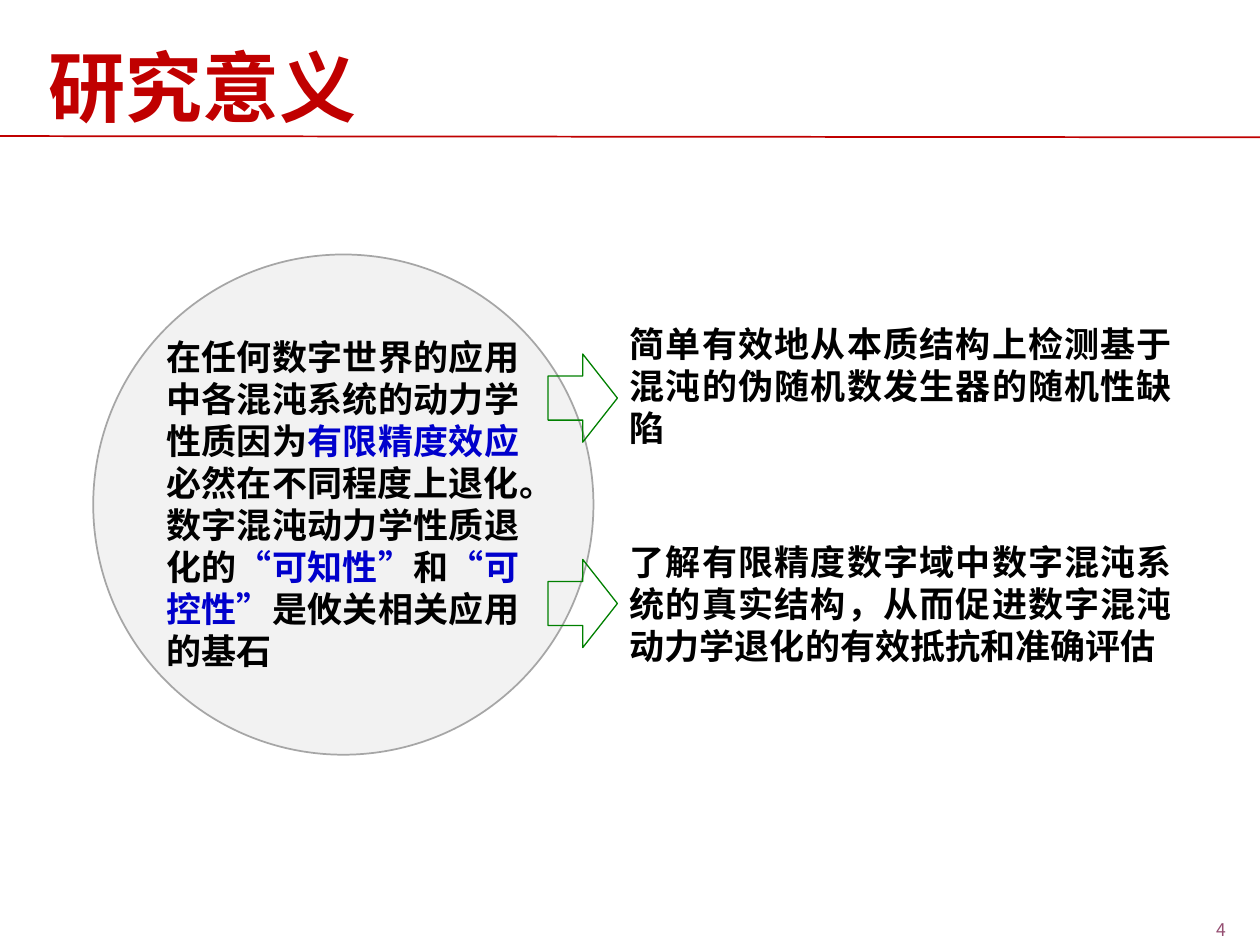
from lxml.etree import SubElement
from pptx import Presentation
from pptx.dml.color import RGBColor
from pptx.enum.lang import MSO_LANGUAGE_ID
from pptx.enum.shapes import MSO_CONNECTOR, MSO_SHAPE
from pptx.enum.text import MSO_ANCHOR, PP_ALIGN
from pptx.oxml.ns import qn
from pptx.util import Inches, Pt

RED = RGBColor(0xC0, 0x00, 0x00)
BLACK = RGBColor(0x00, 0x00, 0x00)
BLUE = RGBColor(0x00, 0x00, 0xCC)
GREEN = RGBColor(0x00, 0x80, 0x00)
PLUM = RGBColor(0x95, 0x4F, 0x72)
PALE_GRAY = RGBColor(0xF2, 0xF2, 0xF2)
MID_GRAY = RGBColor(0xA6, 0xA6, 0xA6)
FONT = "Noto Sans CJK SC"
COLUMNS, ROWS = 100, 75


class SlideBuilder:
    """Draws styled elements on a slide, placed in columns and rows of a grid."""

    def __init__(self, presentation):
        self.column = presentation.slide_width / COLUMNS
        self.row = presentation.slide_height / ROWS
        self.slide = presentation.slides.add_slide(presentation.slide_layouts[5])

    def place(self, left, top, width, height):
        return (round(left * self.column), round(top * self.row),
                round(width * self.column), round(height * self.row))

    def format_run(self, run, size, color, bold=True):
        font = run.font
        font.name, font.size, font.bold = FONT, Pt(size), bold
        font.color.rgb = color
        font.language_id = MSO_LANGUAGE_ID.SIMPLIFIED_CHINESE
        SubElement(font._element, qn("a:ea")).set("typeface", FONT)

    def title(self, text, *box):
        title = self.slide.shapes.title
        title.left, title.top, title.width, title.height = self.place(*box)
        title.text_frame.text = text
        title.text_frame.vertical_anchor = MSO_ANCHOR.MIDDLE
        paragraph = title.text_frame.paragraphs[0]
        paragraph.alignment = PP_ALIGN.CENTER
        self.format_run(paragraph.runs[0], 44, RED)

    def text(self, parts, *box):
        text_box = self.slide.shapes.add_textbox(*self.place(*box))
        text_box.text_frame.word_wrap = True
        paragraph = text_box.text_frame.paragraphs[0]
        paragraph.alignment = PP_ALIGN.JUSTIFY
        paragraph.line_spacing = Pt(24)
        for text, color in parts:
            run = paragraph.add_run()
            run.text = text
            self.format_run(run, 20, color)

    def page_number(self, number, *box):
        text_box = self.slide.shapes.add_textbox(*self.place(*box))
        text_box.text_frame.text = number
        text_box.text_frame.vertical_anchor = MSO_ANCHOR.MIDDLE
        paragraph = text_box.text_frame.paragraphs[0]
        paragraph.alignment = PP_ALIGN.RIGHT
        self.format_run(paragraph.runs[0], 10, PLUM, bold=False)

    def shape(self, kind, line_color, line_width, *box, fill=None):
        shape = self.slide.shapes.add_shape(kind, *self.place(*box))
        shape.shadow.inherit = False
        if fill is None:
            shape.fill.background()
        else:
            shape.fill.solid()
            shape.fill.fore_color.rgb = fill
        shape.line.color.rgb = line_color
        shape.line.width = Pt(line_width)

    def rule(self, left, top, right, bottom):
        ends = self.place(left, top, right, bottom)
        line = self.slide.shapes.add_connector(MSO_CONNECTOR.STRAIGHT, *ends)
        line.line.color.rgb = RED
        line.line.width = Pt(1)
        SubElement(line._element.spPr, qn("a:effectLst"))


def main():
    presentation = Presentation()
    presentation.slide_width, presentation.slide_height = Inches(10), Inches(7.5)
    builder = SlideBuilder(presentation)
    builder.title("研究意义", 0.3, 1.8, 31.6, 10)
    builder.shape(MSO_SHAPE.OVAL, MID_GRAY, 1, 7.4, 20.2, 39.7, 39.7, fill=PALE_GRAY)
    builder.text([
        ("在任何数字世界的应用中各混沌系统的动力学性质因为", BLACK),
        ("有限精度效应", BLUE),
        ("必然在不同程度上退化。数字混沌动力学性质退化的", BLACK),
        ("“可知性”", BLUE),
        ("和", BLACK),
        ("“可控性”", BLUE),
        ("是攸关相关应用的基石", BLACK),
    ], 12.2, 26.1, 30, 27.9)
    benefits = [
        ("简单有效地从本质结构上检测基于混沌的伪随机数发生器的随机性缺陷", 25.1, 28.1),
        ("了解有限精度数字域中数字混沌系统的真实结构，从而促进数字混沌动力学退化的有效抵抗和准确评估",
         42.4, 44.4),
    ]
    for benefit, text_top, arrow_top in benefits:
        builder.shape(MSO_SHAPE.RIGHT_ARROW, GREEN, 0.75, 43.5, arrow_top, 5.5, 7)
        builder.text([(benefit, BLACK)], 49, text_top, 45, 11.1)
    builder.rule(0, 10.8, 100, 10.9)
    builder.page_number("4", 90, 72.5, 8.3, 2.5)
    presentation.save("out.pptx")


if __name__ == "__main__":
    main()
